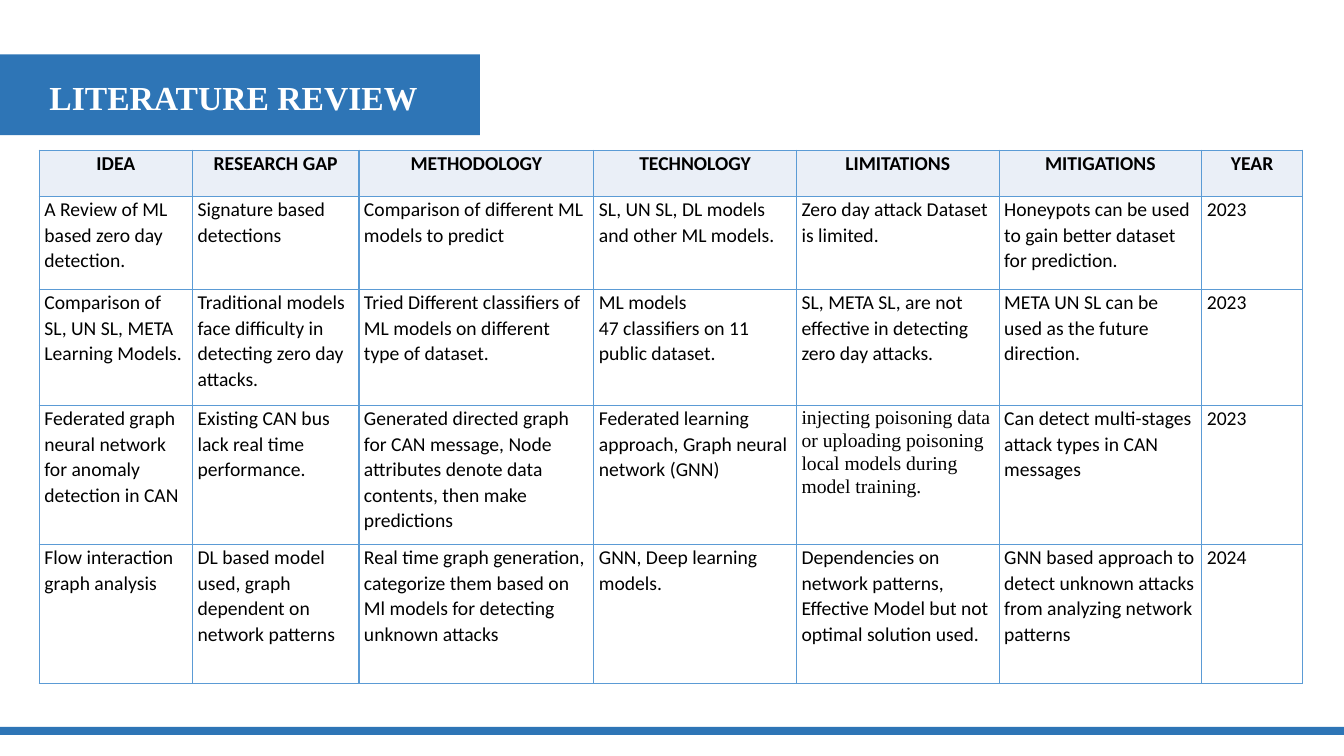
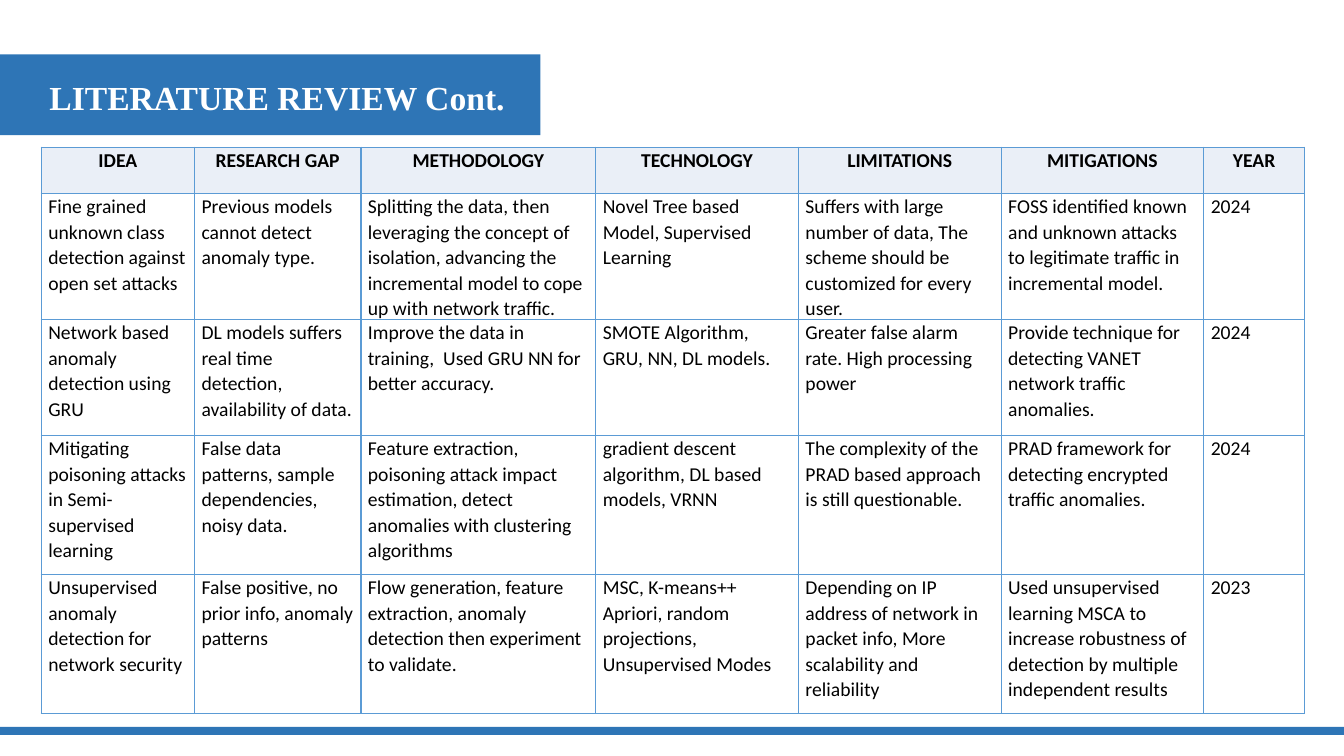
from itertools import accumulate
from lxml.etree import SubElement
from pptx import Presentation
from pptx.dml.color import RGBColor
from pptx.enum.shapes import MSO_SHAPE
from pptx.enum.text import MSO_ANCHOR, MSO_AUTO_SIZE, PP_ALIGN
from pptx.oxml.ns import qn
from pptx.util import Inches, Pt

# Content
HEADINGS = ["IDEA", "RESEARCH GAP", "METHODOLOGY", "TECHNOLOGY",
            "LIMITATIONS", "MITIGATIONS", "YEAR"]

FIRST_STUDIES = [
    ["A Review of ML based zero day detection.",
     "Signature based detections",
     "Comparison of different ML models to predict",
     "SL, UN SL, DL models and other ML models.",
     "Zero day attack Dataset is limited.",
     "Honeypots can be used to gain better dataset for prediction.",
     "2023"],
    ["Comparison of SL, UN SL, META Learning Models.",
     "Traditional models face difficulty in detecting zero day attacks.",
     "Tried Different classifiers of ML models on different type of dataset.",
     "ML models\n47 classifiers on 11 public dataset.",
     "SL, META SL, are not effective in detecting zero day attacks.",
     "META UN SL can be used as the future direction.",
     "2023"],
    ["Federated graph neural network for anomaly detection in CAN",
     "Existing CAN bus lack real time performance.",
     "Generated directed graph for CAN message, Node attributes denote data "
     "contents, then make predictions",
     "Federated learning approach, Graph neural network (GNN)",
     "injecting poisoning data or uploading poisoning local models during "
     "model training.",
     "Can detect multi-stages attack types in CAN messages",
     "2023"],
    ["Flow interaction graph analysis",
     "DL based model used, graph dependent on network patterns",
     "Real time graph generation, categorize them based on Ml models for "
     "detecting unknown attacks",
     "GNN, Deep learning models.",
     "Dependencies on network patterns, Effective Model but not optimal "
     "solution used.",
     "GNN based approach to detect unknown attacks from analyzing network "
     "patterns",
     "2024"],
]

MORE_STUDIES = [
    ["Fine grained unknown class detection against open set attacks",
     "Previous models cannot detect anomaly type.",
     "Splitting the data, then leveraging the concept of isolation, advancing "
     "the incremental model to cope up with network traffic.",
     "Novel Tree based Model, Supervised Learning",
     "Suffers with large number of data, The scheme should be customized for "
     "every user.",
     "FOSS identified known and unknown attacks to legitimate traffic in "
     "incremental model.",
     "2024"],
    ["Network based anomaly detection using GRU",
     "DL models suffers real time detection, availability of data.",
     "Improve the data in training,  Used GRU NN for better accuracy.",
     "SMOTE Algorithm, GRU, NN, DL models.",
     "Greater false alarm rate. High processing power",
     "Provide technique for detecting VANET network traffic anomalies.",
     "2024"],
    ["Mitigating poisoning attacks in Semi-supervised learning",
     "False data patterns, sample dependencies, noisy data.",
     "Feature extraction, poisoning attack impact estimation, detect anomalies "
     "with clustering algorithms",
     "gradient descent algorithm, DL based models, VRNN",
     "The complexity of the PRAD based approach is still questionable.",
     "PRAD framework for detecting encrypted traffic anomalies.",
     "2024"],
    ["Unsupervised anomaly detection for network security",
     "False positive, no prior info, anomaly patterns",
     "Flow generation, feature extraction, anomaly detection then experiment "
     "to validate.",
     "MSC, K-means++ Apriori, random projections, Unsupervised Modes",
     "Depending on IP address of network in packet info, More scalability and "
     "reliability",
     "Used unsupervised learning MSCA to increase robustness of detection by "
     "multiple independent results",
     "2023"],
]

REVIEWS = [
    {"title": "LITERATURE REVIEW", "band": 4.76, "title_width": 3.89,
     "corner": (0.39, 1.49), "heights": [0.46, 0.92, 1.15, 1.38, 1.38],
     "inset": 0.05, "studies": FIRST_STUDIES, "serif_cells": {(3, 4)}},
    {"title": "LITERATURE REVIEW Cont.", "band": 5.36, "title_width": 4.77,
     "corner": (0.41, 1.46), "heights": [0.46, 1.25, 1.15, 1.38, 1.38],
     "inset": 0.07, "studies": MORE_STUDIES, "serif_cells": set()},
]

# Shared style
COLORS = {"band": "2E75B6", "border": "5B9BD5", "heading": "EAEFF7",
          "paper": "FFFFFF", "ink": "000000"}
SANS, SERIF = "Calibri", "Times New Roman"
SLIDE_WIDTH, SLIDE_HEIGHT = 13.33, 7.5
COLUMN_WIDTHS = [1.52, 1.65, 2.33, 2.01, 2.01, 2.01, 1]
HEADING_INSET = 0.05
LINE_SPACING = 1.07


def rgb(name):
    return RGBColor.from_string(COLORS[name])


def add_band(slide, top, width, height):
    band = slide.shapes.add_shape(MSO_SHAPE.RECTANGLE, 0, Inches(top),
                                  Inches(width), Inches(height))
    band.shadow.inherit = False
    band.fill.solid()
    band.fill.fore_color.rgb = rgb("band")
    band.line.fill.background()


def add_text(paragraph, text, font, size, color, bold):
    paragraph.line_spacing = LINE_SPACING
    run = paragraph.add_run()
    run.text = text
    run.font.name, run.font.size, run.font.bold = font, Pt(size), bold
    run.font.color.rgb = rgb(color)


def add_title(slide, text, width):
    title = slide.shapes.title
    title.left, title.top = Inches(0.39), Inches(0.68)
    title.width, title.height = Inches(width), Inches(0.51)
    frame = title.text_frame
    frame.word_wrap = False
    frame.auto_size = MSO_AUTO_SIZE.SHAPE_TO_FIT_TEXT
    frame.vertical_anchor = MSO_ANCHOR.TOP
    paragraph = frame.paragraphs[0]
    paragraph.alignment = PP_ALIGN.LEFT
    paragraph.space_after = Pt(8)
    add_text(paragraph, text, SERIF, 24, "paper", True)
    # Bring the title in front of its band
    title.element.getparent().append(title.element)


def add_borders(cell):
    properties = cell._tc.get_or_add_tcPr()
    for side in ("lnL", "lnR", "lnT", "lnB"):
        line = SubElement(properties, qn(f"a:{side}"), w=str(Pt(1)))
        fill = SubElement(line, qn("a:solidFill"))
        SubElement(fill, qn("a:srgbClr"), val=COLORS["border"])


def fill_cell(cell, text, heading, inset, font):
    add_borders(cell)
    cell.fill.solid()
    cell.fill.fore_color.rgb = rgb("heading" if heading else "paper")
    cell.margin_left = cell.margin_right = Inches(inset)
    cell.margin_top = cell.margin_bottom = 0
    frame = cell.text_frame
    for index, line in enumerate(text.split("\n")):
        paragraph = frame.add_paragraph() if index else frame.paragraphs[0]
        paragraph.alignment = PP_ALIGN.CENTER if heading else PP_ALIGN.LEFT
        add_text(paragraph, line, font, 14, "ink", heading)


def add_studies(slide, review):
    rows = [HEADINGS] + review["studies"]
    left, top = review["corner"]
    table = slide.shapes.add_table(
        len(rows), len(HEADINGS), Inches(left), Inches(top),
        Inches(sum(COLUMN_WIDTHS)), Inches(sum(review["heights"]))).table
    table.horz_banding = False
    for column, width in zip(table.columns, COLUMN_WIDTHS):
        column.width = Inches(width)
    for row, height in zip(table.rows, review["heights"]):
        row.height = Inches(height)
    for r, texts in enumerate(rows):
        for c, text in enumerate(texts):
            fill_cell(table.cell(r, c), text, r == 0,
                      review["inset"] if r else HEADING_INSET,
                      SERIF if (r, c) in review["serif_cells"] else SANS)


def main():
    deck = Presentation()
    deck.slide_width, deck.slide_height = Inches(SLIDE_WIDTH), Inches(SLIDE_HEIGHT)
    title_only = deck.slide_layouts[5]
    for review in REVIEWS:
        slide = deck.slides.add_slide(title_only)
        add_band(slide, 0.54, review["band"], 0.8)
        add_title(slide, review["title"], review["title_width"])
        add_band(slide, 7.21, SLIDE_WIDTH, 0.08)
        add_studies(slide, review)
    deck.save("out.pptx")


if __name__ == "__main__":
    main()
